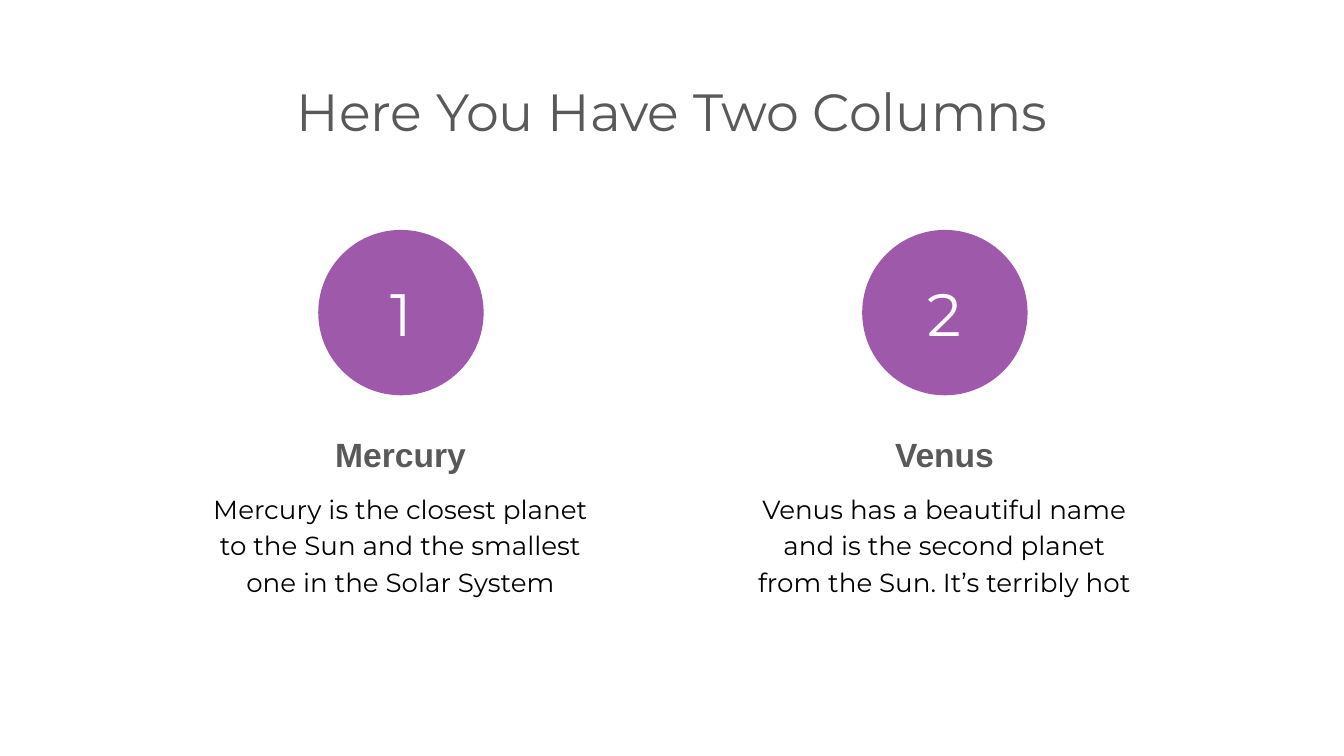
from pptx import Presentation
from pptx.dml.color import RGBColor
from pptx.enum.shapes import MSO_SHAPE
from pptx.enum.text import MSO_ANCHOR, PP_ALIGN
from pptx.util import Pt

OVAL = MSO_SHAPE.OVAL
CENTER = PP_ALIGN.CENTER
TOP, MIDDLE = MSO_ANCHOR.TOP, MSO_ANCHOR.MIDDLE
GRAY, PURPLE, BLACK, WHITE = "595959", "9E59AA", "000000", "FFFFFF"


def color(value):
    return RGBColor.from_string(value)


def add_text(text, left, top, width, height, size, fill, font="Montserrat",
             bold=False, anchor=TOP, spacing=1.0):
    tf = s.shapes.add_textbox(Pt(left), Pt(top), Pt(width), Pt(height)).text_frame
    tf.word_wrap = True
    tf.vertical_anchor = anchor
    tf.margin_left = tf.margin_right = Pt(7.2)
    tf.margin_top = tf.margin_bottom = Pt(7.2)
    tf.text = text
    p = tf.paragraphs[0]
    p.alignment = CENTER
    p.line_spacing = spacing
    r = p.runs[0]
    r.font.name = font
    r.font.size = Pt(size)
    r.font.bold = bold
    r.font.color.rgb = color(fill)


prs = Presentation()
prs.slide_width, prs.slide_height = Pt(720), Pt(405)
s = prs.slides.add_slide(prs.slide_layouts[6])
s.background.fill.solid()
s.background.fill.fore_color.rgb = color(WHITE)

# Title
add_text("Here You Have Two Columns", 56.2, 35.3, 607.6, 45.4, 28, GRAY)

# Two columns: numbered circle, heading, description
columns = [
    ("Mercury", "Mercury is the closest planet to the Sun and the smallest "
                "one in the Solar System"),
    ("Venus", "Venus has a beautiful name and is the second planet from "
              "the Sun. It’s terribly hot"),
]
COLUMN_LEFT, COLUMN_PITCH, COLUMN_WIDTH = 104.4, 291.4, 220.4
CIRCLE, NUMBER = 88.6, 41.8

for i, (heading, description) in enumerate(columns):
    left = COLUMN_LEFT + i * COLUMN_PITCH
    middle = left + COLUMN_WIDTH / 2 + 0.2

    sp = s.shapes.add_shape(OVAL, Pt(middle - CIRCLE / 2), Pt(123.2),
                            Pt(CIRCLE), Pt(CIRCLE))
    sp.shadow.inherit = False
    sp.fill.solid()
    sp.fill.fore_color.rgb = color(PURPLE)
    sp.line.fill.background()

    add_text(str(i + 1), middle - NUMBER / 2, 146.6, NUMBER, NUMBER,
             32, WHITE, anchor=MIDDLE)
    add_text(heading, left, 221.8, COLUMN_WIDTH, 45.4, 18, GRAY,
             font="Arial", bold=True, spacing=1.15)
    add_text(description, left, 254.9, COLUMN_WIDTH, 115.2, 14, BLACK,
             spacing=1.15)

prs.save("out.pptx")
